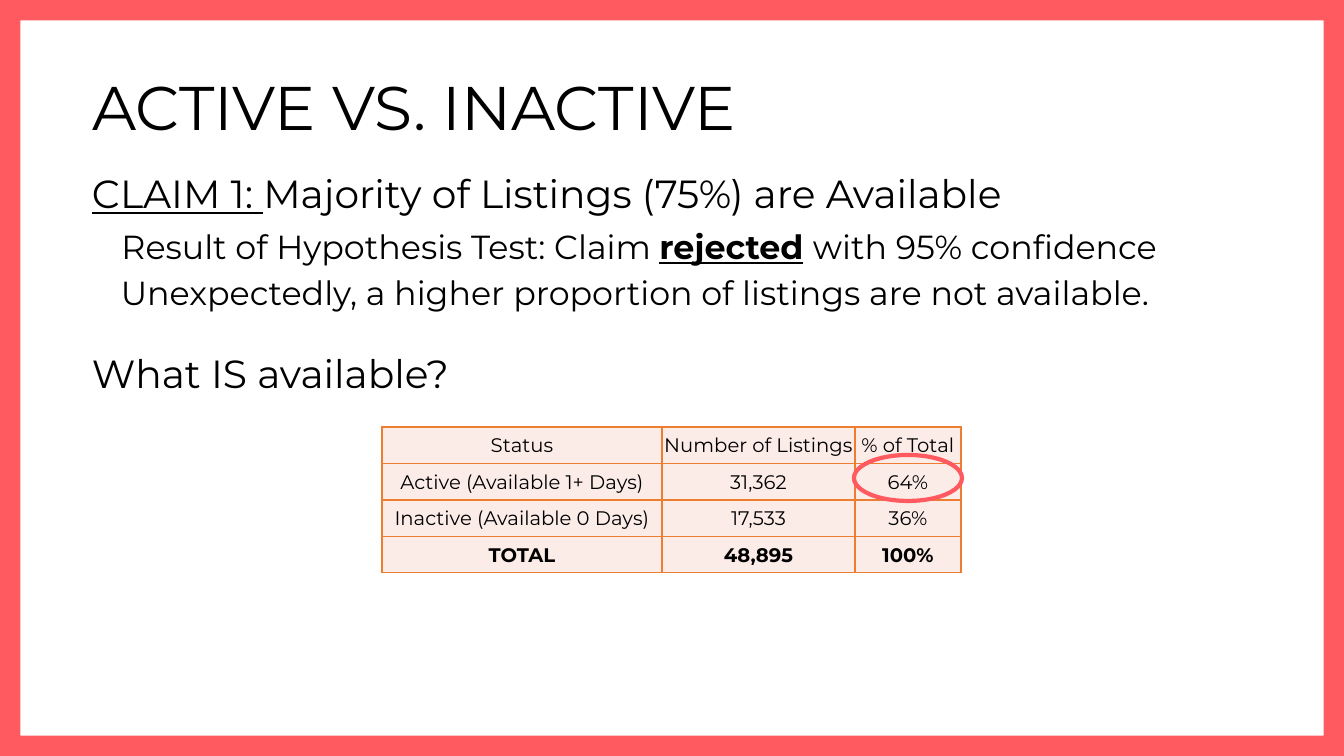
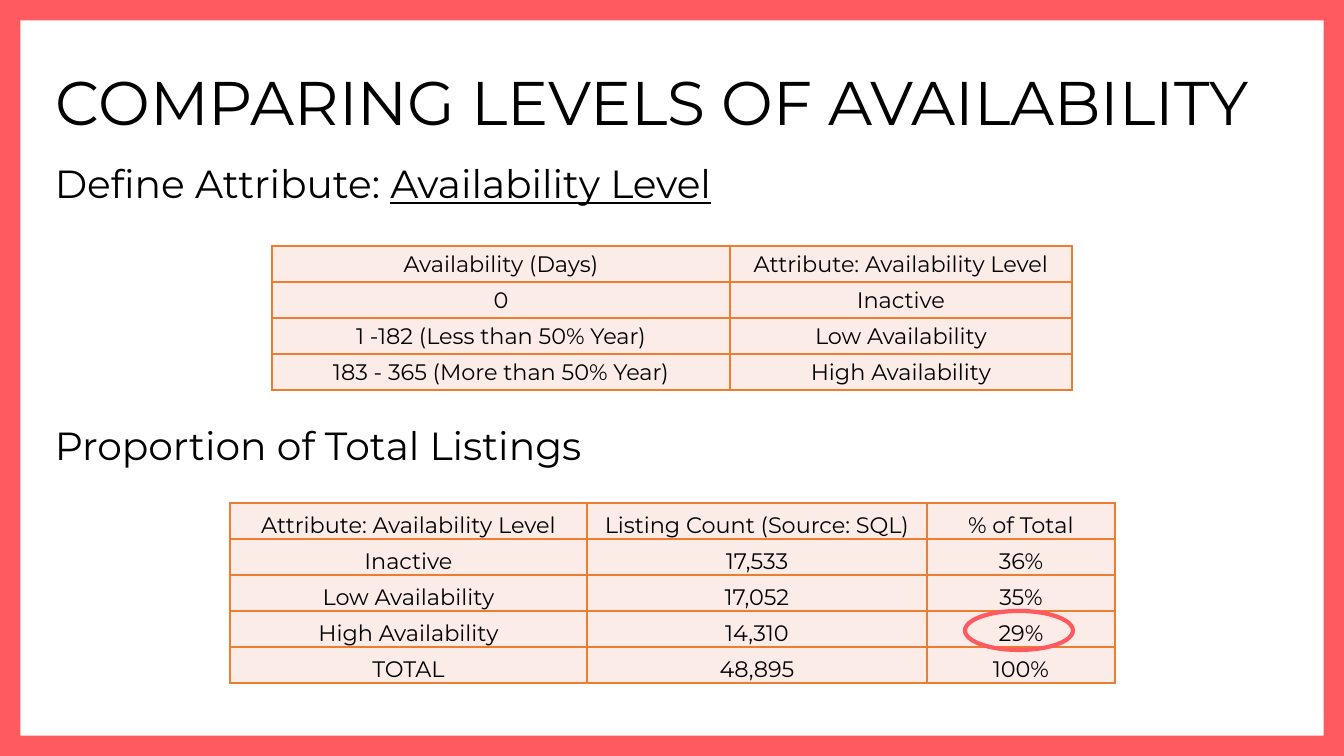
from pptx import Presentation
from pptx.dml.color import RGBColor
from pptx.enum.shapes import MSO_SHAPE
from pptx.enum.text import MSO_ANCHOR, PP_ALIGN
from pptx.oxml import parse_xml
from pptx.oxml.ns import nsdecls
from pptx.util import Pt

LEFT, MID = PP_ALIGN.LEFT, PP_ALIGN.CENTER
CENTER, BASE = MSO_ANCHOR.MIDDLE, MSO_ANCHOR.BOTTOM
TOP = MSO_ANCHOR.TOP
FRAME, OVAL = MSO_SHAPE.FRAME, MSO_SHAPE.OVAL

WIDE, HIGH = 1344, 756
SCALE = 914400 / 100.8
FONT = "Montserrat"
COLORS = {"coral": "FF5A5F", "text": "000000", "cell": "FCECE8", "rule": "ED7D31"}

HEAD = {"size": 28, "lead": 0.9, "gap": 10}
RESULT = {"size": 23.8, "lead": 0.8, "gap": 10, "align": MID}

SLIDES = [
    {
        "title": ("ACTIVE VS. INACTIVE", (82, 38, 1159, 146)),
        "texts": [
            ((82, 170, 1092, 62), HEAD,
             [[("CLAIM 1: ", "u"), ("Majority of Listings (75%) are Available", "")]]),
            ((93, 229, 1092, 91), RESULT,
             [[("Result of Hypothesis Test: Claim ", ""), ("rejected", "bu"),
               (" ", "b"), ("with 95% confidence", "")],
              [("Unexpectedly, a higher proportion of listings are not available. ", "")]]),
            ((82, 350, 1092, 62), HEAD, [[("What IS available?", "")]]),
        ],
        "tables": [
            {"at": (382, 427), "cols": (280, 193, 106), "high": 146,
             "size": 14, "anchor": CENTER, "bold": 3,
             "rows": [
                 ("Status", "Number of Listings", "% of Total"),
                 ("Active (Available 1+ Days)", "31,362", "64%"),
                 ("Inactive (Available 0 Days)", "17,533", "36%"),
                 ("TOTAL", "48,895", "100%"),
             ]},
        ],
        "ring": (854, 455, 108, 46),
    },
    {
        "title": ("COMPARING LEVELS OF AVAILABILITY", (45, 33, 1255, 146)),
        "texts": [
            ((45, 160, 1159, 81), HEAD,
             [[("Define Attribute: ", ""), ("Availability Level", "u")]]),
            ((45, 422, 1159, 81), HEAD, [[("Proportion of Total Listings", "")]]),
        ],
        "tables": [
            {"at": (272, 246), "cols": (458, 342), "high": 144,
             "size": 16, "anchor": CENTER, "bold": None,
             "rows": [
                 ("Availability (Days)", "Attribute: Availability Level"),
                 ("0", "Inactive"),
                 ("1 -182 (Less than 50% Year)", "Low Availability"),
                 ("183 - 365 (More than 50% Year)", "High Availability"),
             ]},
            {"at": (230, 503), "cols": (357, 340, 188), "high": 180,
             "size": 16, "anchor": BASE, "bold": None,
             "rows": [
                 ("Attribute: Availability Level", "Listing Count (Source: SQL)",
                  "% of Total"),
                 ("Inactive", "17,533", "36%"),
                 ("Low Availability", "17,052", "35%"),
                 ("High Availability", "14,310", "29%"),
                 ("TOTAL", "48,895", "100%"),
             ]},
        ],
        "ring": (965, 611, 108, 39),
    },
]


def px(n):
    return round(n * SCALE)


def ink(name):
    return RGBColor.from_string(COLORS[name])


def write(frame, lines, size=16, align=LEFT, lead=None, gap=None, anchor=TOP):
    frame.word_wrap = True
    frame.vertical_anchor = anchor
    for i, line in enumerate(lines):
        para = frame.add_paragraph() if i else frame.paragraphs[0]
        para.alignment = align
        if lead:
            para.line_spacing = lead
        if gap is not None:
            para.space_before = Pt(gap)
        for text, style in line:
            run = para.add_run()
            run.text = text
            font = run.font
            font.name, font.size = FONT, Pt(size)
            font.bold, font.underline = "b" in style, "u" in style
            font.color.rgb = ink("text")


def add_form(slide, kind, box):
    shape = slide.shapes.add_shape(kind, *map(px, box))
    shape.shadow.inherit = False
    return shape


def add_frame(slide):
    frame = add_form(slide, FRAME, (0, 0, WIDE, HIGH))
    frame.adjustments[0] = 0.027
    frame.fill.solid()
    frame.fill.fore_color.rgb = ink("coral")
    frame.line.fill.background()


def add_ring(slide, box):
    ring = add_form(slide, OVAL, box)
    ring.fill.background()
    ring.line.color.rgb = ink("coral")
    ring.line.width = Pt(3)


def set_title(slide, text, box):
    title = slide.shapes.title
    title.left, title.top, title.width, title.height = map(px, box)
    write(title.text_frame, [[(text, "")]], size=44, lead=0.9, anchor=CENTER)


def add_rules(cell):
    props = cell._tc.get_or_add_tcPr()
    for i, side in enumerate("LRTB"):
        props.insert(i, parse_xml(
            f'<a:ln{side} {nsdecls("a")} w="{Pt(1)}"><a:solidFill>'
            f'<a:srgbClr val="{COLORS["rule"]}"/></a:solidFill></a:ln{side}>'))


def add_grid(slide, spec_data):
    rows, cols = spec_data["rows"], spec_data["cols"]
    box = (*spec_data["at"], sum(cols), spec_data["high"])
    table = slide.shapes.add_table(len(rows), len(cols), *map(px, box)).table
    table.first_row = table.horz_banding = False
    for col, wide in zip(table.columns, cols):
        col.width = px(wide)
    for r, row in enumerate(rows):
        table.rows[r].height = px(spec_data["high"] / len(rows))
        style = "b" if r == spec_data["bold"] else ""
        for c, text in enumerate(row):
            cell = table.cell(r, c)
            cell.margin_left = cell.margin_right = cell.margin_top = px(1)
            cell.margin_bottom = 0
            cell.vertical_anchor = spec_data["anchor"]
            cell.fill.solid()
            cell.fill.fore_color.rgb = ink("cell")
            add_rules(cell)
            write(cell.text_frame, [[(text, style)]], size=spec_data["size"],
                  align=MID, anchor=None)


deck = Presentation()
deck.slide_width, deck.slide_height = px(WIDE), px(HIGH)
for page in SLIDES:
    slide = deck.slides.add_slide(deck.slide_layouts[5])
    add_frame(slide)
    set_title(slide, *page["title"])
    for box, look, lines in page["texts"]:
        area = slide.shapes.add_textbox(*map(px, box))
        write(area.text_frame, lines, **look)
    for grid in page["tables"]:
        add_grid(slide, grid)
    add_ring(slide, page["ring"])
deck.save("out.pptx")
